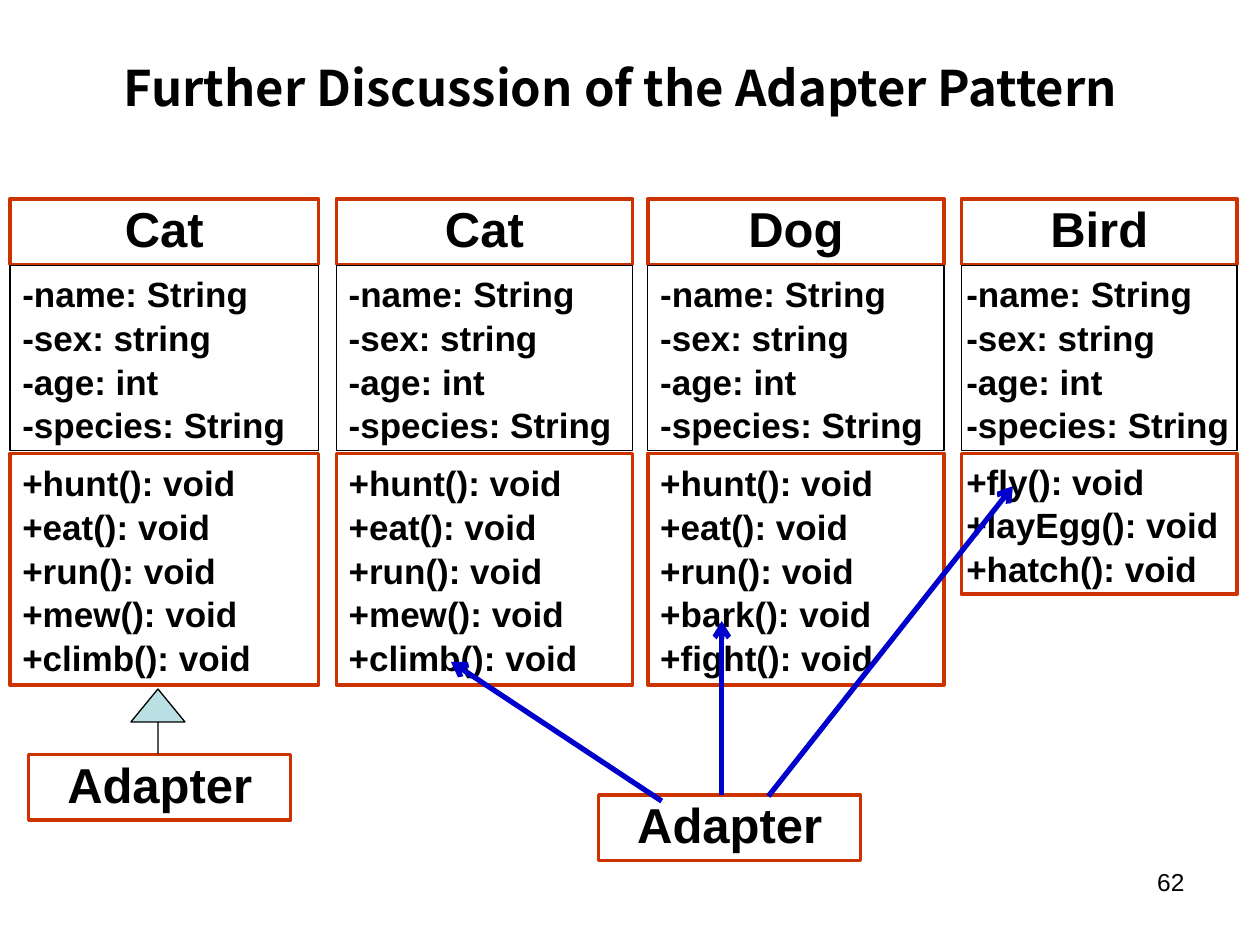
from pptx import Presentation
from pptx.dml.color import RGBColor
from pptx.enum.shapes import MSO_CONNECTOR, MSO_SHAPE
from pptx.enum.text import MSO_ANCHOR as ANCHOR, MSO_AUTO_SIZE as FIT, PP_ALIGN as ALIGN
from pptx.oxml.ns import qn
from pptx.util import Cm, Pt
from lxml.etree import SubElement

BLACK = RGBColor(0x00, 0x00, 0x00)
WHITE = RGBColor(0xFF, 0xFF, 0xFF)
RED = RGBColor(0xCC, 0x33, 0x00)
BLUE = RGBColor(0x00, 0x00, 0xCC)
PALE = RGBColor(0xBB, 0xE0, 0xE3)

ATTRIBUTES = ["-name: String", "-sex: string", "-age: int", "-species: String"]
CAT_METHODS = ["+hunt(): void", "+eat(): void", "+run(): void",
               "+mew(): void", "+climb(): void"]
DOG_METHODS = CAT_METHODS[:3] + ["+bark(): void", "+fight(): void"]
BIRD_METHODS = ["+fly(): void", "+layEgg(): void", "+hatch(): void"]

# name, left, width, methods, height of methods, side inset, top inset of methods
CLASSES = [
    ("Cat", 0.2, 6.22, CAT_METHODS, 4.67, 0.25, 0.13),
    ("Cat", 6.78, 5.97, CAT_METHODS, 4.67, 0.25, 0.13),
    ("Dog", 13.06, 5.97, DOG_METHODS, 4.67, 0.25, 0.13),
    ("Bird", 19.38, 5.56, BIRD_METHODS, 2.84, 0.1, 0.1),
]
NAME_TOP, NAME_HEIGHT = 4.01, 1.32
ATTR_TOP, ATTR_HEIGHT = 5.36, 3.73
METHOD_TOP = 9.14
ADAPTER_WIDTH = 5.28

ARROWS = [
    (14.55, 16.03, 14.55, 12.52),
    (15.49, 16.05, 20.42, 9.8),
    (13.34, 16.15, 9.09, 13.34),
]


class ClassDiagram:
    def __init__(self, slide):
        self.slide = slide
        self.font = {"name": "Arial", "size": Pt(20), "bold": True}
        self.name_font = {**self.font, "size": Pt(28)}
        self.title_font = {**self.name_font, "name": "Noto Sans CJK SC"}
        self.number_font = {"name": "Arial", "size": Pt(14), "bold": False}

    def add_lines(self, tf, lines, font, align=ALIGN.LEFT, spacing=None):
        for i, line in enumerate(lines):
            p = tf.paragraphs[0] if i == 0 else tf.add_paragraph()
            p.alignment = align
            p.line_spacing = spacing
            r = p.add_run()
            r.text = line
            r.font.color.rgb = BLACK
            for key, value in font.items():
                setattr(r.font, key, value)

    def frame(self, tf, side=0.25, edge=0.13, anchor=ANCHOR.TOP):
        """Set wrapping, anchor and insets (in cm) of a text frame."""
        values = {"word_wrap": True, "auto_size": FIT.NONE,
                  "vertical_anchor": anchor,
                  "margin_left": Cm(side), "margin_right": Cm(side),
                  "margin_top": Cm(edge), "margin_bottom": Cm(edge)}
        for key, value in values.items():
            setattr(tf, key, value)

    def title(self, text, *box):
        sp = self.slide.shapes.title
        sp.left, sp.top, sp.width, sp.height = map(Cm, box)
        self.frame(sp.text_frame, anchor=ANCHOR.MIDDLE)
        self.add_lines(sp.text_frame, [text], self.title_font, ALIGN.CENTER)

    def number(self, text, *box):
        sp = self.slide.shapes.add_textbox(*map(Cm, box))
        self.frame(sp.text_frame)
        self.add_lines(sp.text_frame, [text], self.number_font, ALIGN.RIGHT)

    def shape(self, kind, box, fill, line, weight):
        sp = self.slide.shapes.add_shape(kind, *map(Cm, box))
        sp.shadow.inherit = False
        sp.fill.solid()
        sp.fill.fore_color.rgb = fill
        sp.line.color.rgb = line
        sp.line.width = Pt(weight)
        return sp

    def name_box(self, text, left, top, width):
        box = (left, top, width, NAME_HEIGHT)
        sp = self.shape(MSO_SHAPE.RECTANGLE, box, WHITE, RED, 2)
        self.frame(sp.text_frame)
        self.add_lines(sp.text_frame, [text], self.name_font, ALIGN.CENTER, 0.9)

    def member_box(self, lines, box, line, weight, **frame):
        sp = self.shape(MSO_SHAPE.RECTANGLE, box, WHITE, line, weight)
        self.frame(sp.text_frame, **frame)
        self.add_lines(sp.text_frame, lines, self.font, spacing=Pt(25))

    def class_box(self, name, left, width, methods, height, side, edge):
        self.member_box(methods, (left, METHOD_TOP, width, height), RED, 2,
                        side=side, edge=edge)
        self.name_box(name, left, NAME_TOP, width)
        self.member_box(ATTRIBUTES, (left, ATTR_TOP, width, ATTR_HEIGHT),
                        BLACK, 0.75, side=side, edge=0.1, anchor=ANCHOR.MIDDLE)

    def inheritance(self, *box):
        sp = self.shape(MSO_SHAPE.UP_ARROW, box, PALE, BLACK, 0.75)
        sp.adjustments[0] = 0
        sp.adjustments[1] = 0.61

    def arrow(self, *ends):
        cxn = self.slide.shapes.add_connector(MSO_CONNECTOR.STRAIGHT, *map(Cm, ends))
        cxn.line.color.rgb = BLUE
        cxn.line.width = Pt(3)
        SubElement(cxn.get_or_add_ln(), qn("a:tailEnd"), type="arrow")
        SubElement(cxn.element.spPr, qn("a:effectLst"))


def main():
    prs = Presentation()
    prs.slide_width, prs.slide_height = Cm(25.4), Cm(19.05)
    diagram = ClassDiagram(prs.slides.add_slide(prs.slide_layouts[5]))

    diagram.title("Further Discussion of the Adapter Pattern", 1.07, 0.76, 22.86, 1.98)
    diagram.number("62", 18.21, 17.35, 5.92, 1.32)
    for cls in CLASSES:
        diagram.class_box(*cls)
    diagram.name_box("Adapter", 0.58, 15.21, ADAPTER_WIDTH)
    diagram.inheritance(2.64, 13.89, 1.09, 1.3)
    diagram.name_box("Adapter", 12.07, 16.03, ADAPTER_WIDTH)
    for ends in ARROWS:
        diagram.arrow(*ends)

    prs.save("out.pptx")


if __name__ == "__main__":
    main()
